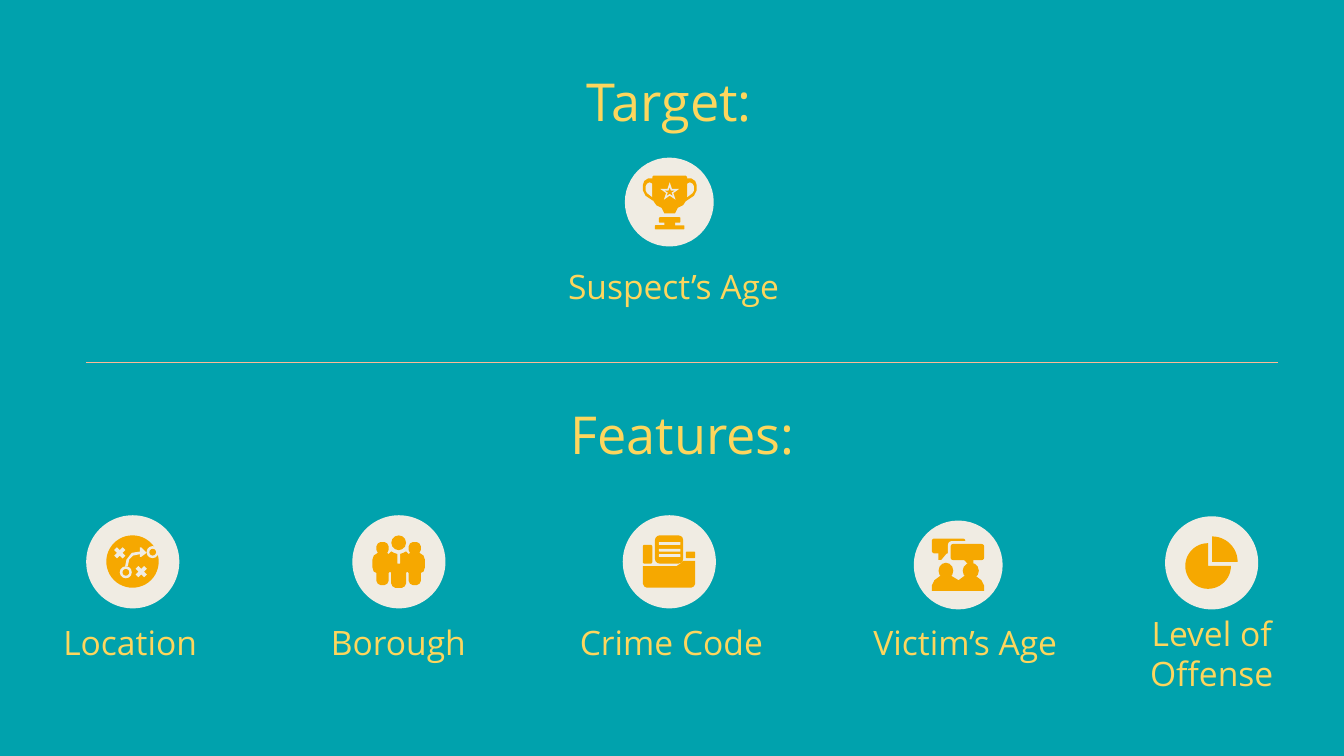
from dataclasses import dataclass

from lxml.etree import SubElement
from pptx import Presentation
from pptx.dml.color import RGBColor
from pptx.enum.shapes import MSO_CONNECTOR, MSO_SHAPE as Preset
from pptx.enum.text import MSO_ANCHOR, MSO_AUTO_SIZE, PP_ALIGN
from pptx.oxml.ns import qn
from pptx.util import Cm, Pt


@dataclass(frozen=True)
class Theme:
    background: RGBColor = RGBColor.from_string("00A2AD")
    text: RGBColor = RGBColor.from_string("FDD65D")
    disc: RGBColor = RGBColor.from_string("F0ECE3")
    icon: RGBColor = RGBColor.from_string("F6A800")
    rule: RGBColor = RGBColor.from_string("FCB997")
    font: str = "Open Sans"
    heading_size: int = 28
    label_size: int = 18


THEME = Theme()
INK, PALE = THEME.icon, THEME.disc
OVAL, ROUND = Preset.OVAL, Preset.ROUNDED_RECTANGLE
GRID = 39.4  # icon units across an icon
ICON_SIZE = 1.0  # cm


def mirror(points, width=40):
    return [(width - x, y) for x, y in points]


HANDLE = [(8, 2), (4, 2), (1, 4), (0, 7), (0, 11), (2, 15), (8, 19)]
HANDLE_HOLE = [(7, 6), (5, 5), (3, 6), (2, 8), (2, 11), (3, 13), (7, 16)]
BOWL = [(7, 1), (8, 0), (32, 0), (33, 1), (33, 15), (32, 19), (30, 22), (26, 24),
        (24, 28), (16, 28), (14, 24), (10, 22), (8, 19), (7, 15)]
ROUTE = [(14, 23), (15, 18), (19, 13), (25, 12), (25, 14), (20, 15), (17, 18), (16, 23)]
HALF_CROWD = [(19, 14), (16, 13), (14, 12), (12, 14), (11, 13), (12, 11), (12, 8),
              (11, 6), (9, 5), (6, 5), (4, 6), (3, 8), (3, 11), (4, 13), (1, 15),
              (0, 18), (0, 24), (1, 27), (3, 28), (3, 34), (4, 36), (6, 37), (9, 37),
              (11, 36), (12, 34), (12, 28), (13, 27), (14, 28), (14, 36), (15, 38),
              (17, 39)]
CROWD = HALF_CROWD + mirror(HALF_CROWD, 39)[::-1]
POCKET = [(0, 23), (25, 23), (28, 21), (30, 19), (39, 19), (39, 36), (38, 38),
          (36, 39), (3, 39), (1, 38), (0, 36)]
SHOULDERS = [(0, 39), (0, 35), (2, 31), (6, 28), (15, 28), (20, 31), (24, 28),
             (33, 28), (37, 31), (39, 35), (39, 39)]

# Each part: a preset or a list of corners, colour, (x, y, width, height), rotation
ICONS = {
    "trophy": [
        (HANDLE, INK), (mirror(HANDLE), INK),
        (HANDLE_HOLE, PALE), (mirror(HANDLE_HOLE), PALE), (BOWL, INK),
        (Preset.STAR_5_POINT, PALE, (13, 5, 14, 13)),
        (Preset.STAR_5_POINT, INK, (16.5, 9, 7, 6)),
        (ROUND, INK, (12, 31, 16, 4)), (Preset.RECTANGLE, INK, (16, 33, 8, 5)),
        (ROUND, INK, (9, 37, 22, 3)),
    ],
    "route": [
        (OVAL, INK, (0, 0, 39, 39)), (ROUTE, PALE),
        ([(25, 9), (26, 9), (30, 13), (26, 16), (25, 16)], PALE),
        (OVAL, PALE, (10, 23, 9, 9)), (OVAL, INK, (12, 25, 5, 5)),
        (OVAL, PALE, (30, 8, 9, 9)), (OVAL, INK, (32, 10, 5, 5)),
        (Preset.MATH_MULTIPLY, PALE, (4, 7, 12, 12)),
        (Preset.MATH_MULTIPLY, PALE, (20, 21, 12, 12)),
    ],
    "people": [
        (OVAL, INK, (14, 0, 11, 11)), (CROWD, INK),
        (ROUND, PALE, (18.5, 13, 2, 8)),
    ],
    "folder": [
        (ROUND, INK, (0, 7, 7, 14)), (ROUND, INK, (32, 12, 7, 5)),
        (ROUND, INK, (9, 0, 21, 21)),
        *[(ROUND, PALE, (12, y, 16, 2)) for y in (5, 10, 14)],
        (POCKET, INK),
    ],
    "talk": [
        (ROUND, INK, (0, 0, 25, 11)), ([(5, 10), (12, 10), (7, 16), (5, 16)], INK),
        (ROUND, PALE, (12, 2, 27, 16)), (ROUND, INK, (14, 4, 25, 12)),
        ([(23, 15), (31, 15), (31, 19), (27, 19)], INK),
        (OVAL, INK, (5, 18, 11, 12)), (OVAL, INK, (23, 18, 12, 12)),
        (SHOULDERS, INK),
    ],
    "pie": [
        (Preset.PIE, INK, (0, 5, 34, 34)),
        (Preset.PIE_WEDGE, INK, (20, 0, 19, 19), 90),
    ],
}

# icon, label, disc (left, top, size), label (left, top, width), in cm
TARGET = ("trophy", "Suspect’s Age", (11.81, 2.98, 1.68), (10.24, 4.98, 4.98))
FEATURES = [
    ("route", "Location", (1.63, 9.74, 1.76), (0.62, 11.72, 3.68)),
    ("people", "Borough", (6.66, 9.74, 1.76), (5.69, 11.72, 3.68)),
    ("folder", "Crime Code", (11.77, 9.74, 1.76), (10.52, 11.72, 4.34)),
    ("talk", "Victim’s Age", (17.27, 9.84, 1.68), (15.97, 11.72, 4.55)),
    ("pie", "Level of Offense", (22.02, 9.76, 1.76), (21.06, 11.92, 3.68)),
]


def paint(shape, color):
    shape.shadow.inherit = False
    shape.fill.solid()
    shape.fill.fore_color.rgb = color
    shape.line.fill.background()


def write(box, text, size, anchor):
    frame = box.text_frame
    margins = {f"margin_{side}": Cm(0.25) for side in ("left", "top", "right", "bottom")}
    for name, value in {"word_wrap": True, "auto_size": MSO_AUTO_SIZE.NONE,
                        "vertical_anchor": anchor, **margins}.items():
        setattr(frame, name, value)
    para = frame.paragraphs[0]
    para.alignment = PP_ALIGN.CENTER
    span = para.add_run()
    span.text = text
    for name, value in {"name": THEME.font, "size": Pt(size), "bold": False}.items():
        setattr(span.font, name, value)
    span.font.color.rgb = THEME.text


def draw_icon(page, parts, left, top, size):
    group = page.shapes.add_group_shape()
    unit = Cm(size) / GRID
    for outline, color, *placing in parts:
        if isinstance(outline, list):
            builder = group.shapes.build_freeform(*outline[0], scale=unit)
            builder.add_line_segments(outline[1:], close=True)
            shape = builder.convert_to_shape(Cm(left), Cm(top))
        else:
            x, y, width, height = [round(value * unit) for value in placing[0]]
            shape = group.shapes.add_shape(outline, Cm(left) + x, Cm(top) + y, width, height)
            if len(placing) > 1:
                shape.rotation = placing[1]
        paint(shape, color)


def add_item(page, icon, label, disc_box, label_box):
    """Place a disc with its icon and the label below it."""
    left, top, size = disc_box
    disc = page.shapes.add_shape(OVAL, Cm(left), Cm(top), Cm(size), Cm(size))
    paint(disc, THEME.disc)
    inset = (size - ICON_SIZE) / 2
    draw_icon(page, ICONS[icon], left + inset, top + inset, ICON_SIZE)
    left, top, width = label_box
    box = page.shapes.add_textbox(Cm(left), Cm(top), Cm(width), Cm(0.84))
    write(box, label, THEME.label_size, MSO_ANCHOR.MIDDLE)


def add_heading(box, text, left, top):
    box.left, box.top, box.width, box.height = Cm(left), Cm(top), Cm(15.8), Cm(1.68)
    write(box, text, THEME.heading_size, MSO_ANCHOR.TOP)


def add_rule(page, left, right, top):
    rule = page.shapes.add_connector(MSO_CONNECTOR.STRAIGHT, Cm(left), Cm(top), Cm(right), Cm(top))
    rule.line.color.rgb = THEME.rule
    rule.line.width = Pt(0.75)
    SubElement(rule._element.spPr, qn("a:effectLst"))


def build_target(page):
    add_heading(page.shapes.title, "Target:", 4.75, 1.06)
    add_item(page, *TARGET)


def build_features(page):
    add_heading(page.shapes.add_textbox(0, 0, 0, 0), "Features:", 5.0, 7.36)
    for feature in FEATURES:
        add_item(page, *feature)


def main():
    deck = Presentation()
    deck.slide_width, deck.slide_height = Cm(25.4), Cm(14.29)
    page = deck.slides.add_slide(deck.slide_layouts[5])
    page.background.fill.solid()
    page.background.fill.fore_color.rgb = THEME.background
    build_target(page)
    add_rule(page, 1.63, 24.16, 6.85)
    build_features(page)
    deck.save("out.pptx")


if __name__ == "__main__":
    main()
